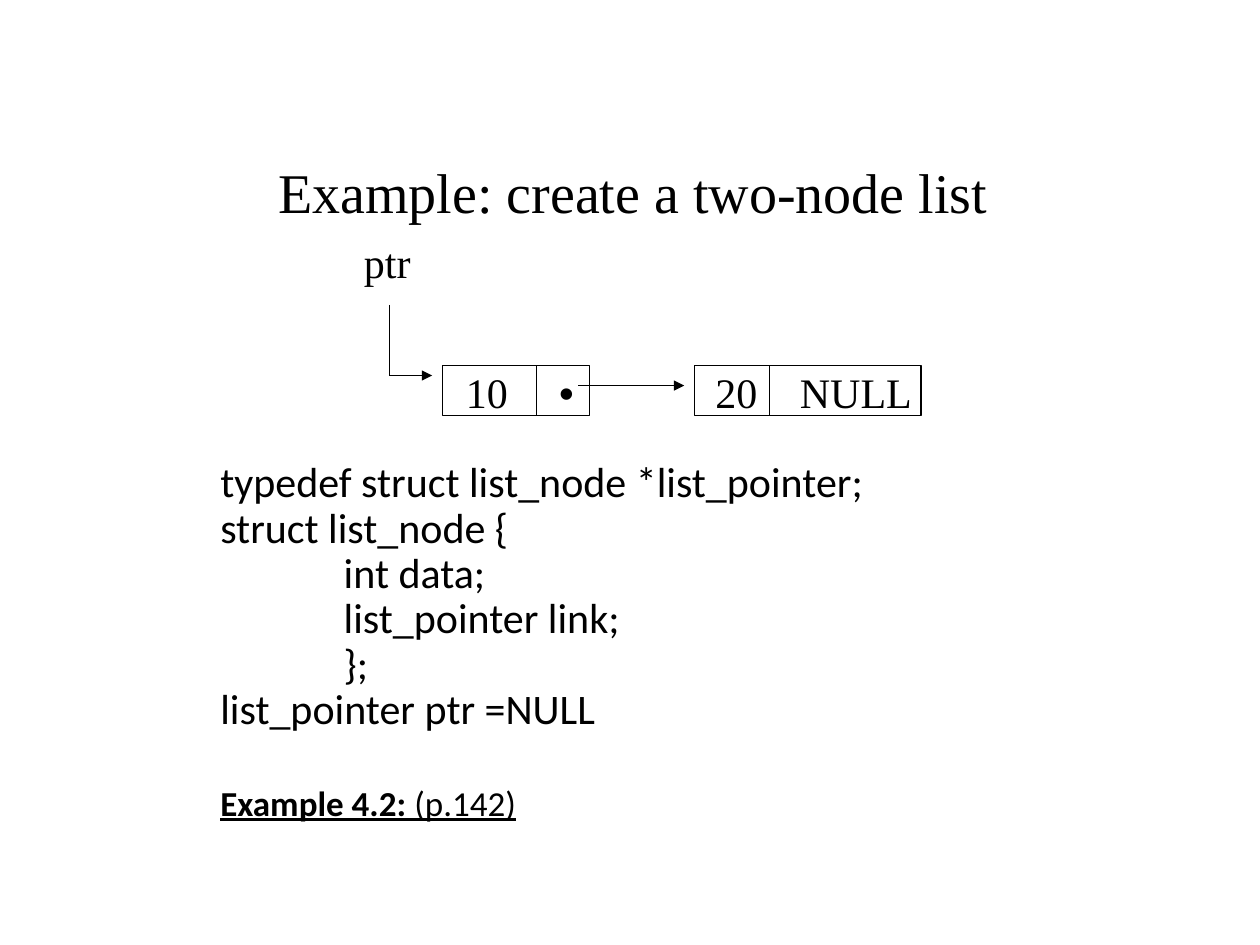
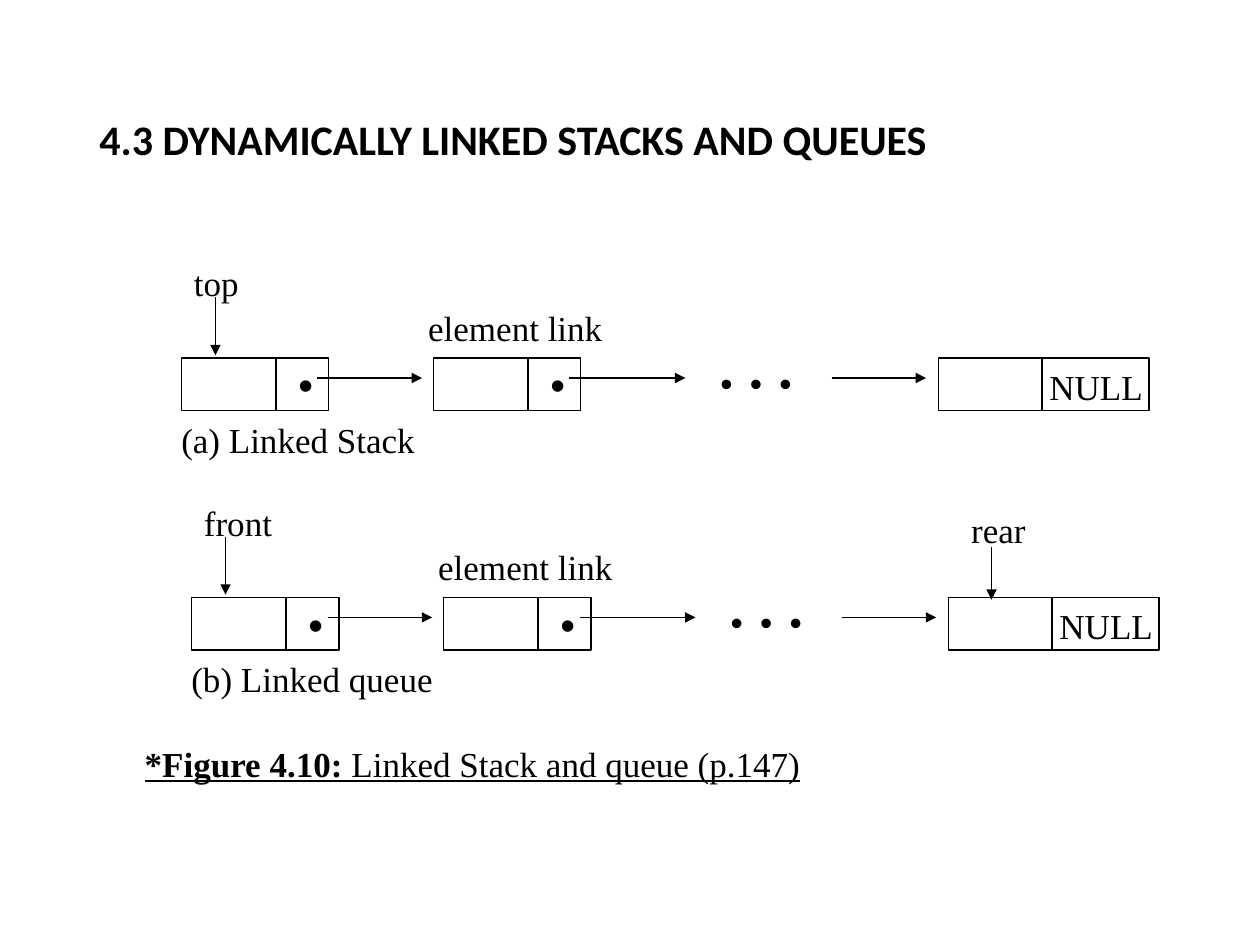
from lxml import etree
from pptx import Presentation, util as u
from pptx.dml.color import RGBColor
from pptx.enum import shapes, text
from pptx.oxml.ns import qn

PX = 9144
INK = {"black": "000000", "white": "FFFFFF"}
BLACK = RGBColor.from_string(INK["black"])
ROMAN, SANS, DOT = "Times New Roman", "Calibri", "Arial"
LEFT, MID = text.PP_ALIGN.LEFT, text.PP_ALIGN.CENTER

deck = Presentation()
deck.slide_width, deck.slide_height = 1000 * PX, 750 * PX


def write(page, box, lines, size, face, align=LEFT, track=0):
    area = page.shapes.add_textbox(*[n * PX for n in box])
    frame = area.text_frame
    frame.word_wrap = True
    frame.vertical_anchor = text.MSO_ANCHOR.TOP
    for i, runs in enumerate(lines):
        para = frame.paragraphs[0] if i == 0 else frame.add_paragraph()
        para.alignment = align
        for words, bold, under in runs:
            run = para.add_run()
            run.text = words
            run.font.name, run.font.size = face, u.Pt(size)
            run.font.bold, run.font.underline = bold, under
            run.font.color.rgb = BLACK
            if track:
                run.font._element.set("spc", str(track))
    return frame


def rule(page, start, end, arrow=False):
    ends = [n * PX for n in (*start, *end)]
    line = page.shapes.add_connector(shapes.MSO_CONNECTOR.STRAIGHT, *ends)
    line.line.color.rgb = BLACK
    line.line.width = u.Pt(0.75)
    if arrow:
        etree.SubElement(line.line._get_or_add_ln(), qn("a:tailEnd"), type="triangle")
    etree.SubElement(line._element.spPr, qn("a:effectLst"))


list_page, queue_page = [deck.slides.add_slide(deck.slide_layouts[6]) for _ in range(2)]
for page in (list_page, queue_page):
    page.background.fill.solid()
    page.background.fill.fore_color.rgb = RGBColor.from_string(INK["white"])

nodes = [(list_page, 351, 290, 117, 40, 75), (list_page, 551, 290, 180, 40, 60)]
rows = [
    (0, 0, "top", "(a) Linked Stack"),
    (8, 190, "front", "(b) Linked queue"),
]
for dx, dy, _, _ in rows:
    for x, wide, split in ((144, 117, 75), (344, 117, 75), (745, 167, 82)):
        nodes.append((queue_page, x + dx, 284 + dy, wide, 42, split))

for page, x, y, wide, high, split in nodes:
    node = page.shapes.add_shape(
        shapes.MSO_SHAPE.RECTANGLE, x * PX, y * PX, wide * PX, high * PX
    )
    node.shadow.inherit = False
    node.fill.background()
    node.line.color.rgb = BLACK
    node.line.width = u.Pt(0.75)
    rule(page, (x + split, y), (x + split, y + high))
    if wide == 117:
        write(page, (x + 83, y - 4, 34, 50), [[("•", False, False)]], 24, DOT)

code = [
    "typedef struct list_node *list_pointer;",
    "struct list_node {",
    "             int data;",
    "             list_pointer link;",
    "             };",
    "list_pointer ptr =NULL",
]
lines = [[(words, False, False)] for words in code]
lines.append([("Example 4.2: ", True, True), ("(p.142)", False, True)])
frame = write(list_page, (165, 347, 835, 326), lines, 24, SANS)
frame.vertical_anchor = text.MSO_ANCHOR.MIDDLE
for para in frame.paragraphs:
    para.line_spacing = 0.9
note = frame.paragraphs[-1]
note.space_before = u.Pt(30)
for run in note.runs:
    run.font.size = u.Pt(20)

head = [[("Example: create a two-node list", False, False)]]
write(list_page, (201, 120, 603, 64), head, 32, ROMAN, MID)
for words, x, y, wide in (
    ("ptr", 279, 183, 70),
    ("10", 360, 286, 60),
    ("20", 558, 286, 60),
    ("NULL", 625, 286, 120),
):
    write(list_page, (x, y, wide, 50), [[(words, False, False)]], 24, ROMAN)
rule(list_page, (309, 242), (309, 298))
rule(list_page, (309, 298), (343, 298), True)
rule(list_page, (459, 306), (543, 306), True)

head = [[("4.3 DYNAMICALLY LINKED STACKS AND QUEUES", True, False)]]
frame = write(queue_page, (69, 40, 863, 145), head, 24, SANS)
frame.vertical_anchor = text.MSO_ANCHOR.MIDDLE
frame.paragraphs[0].line_spacing = 0.9

for dx, dy, start, name in rows:
    for x, end in ((252, 335), (452, 544), (660, 735)):
        rule(queue_page, (x + dx, 300 + dy), (end + dx, 300 + dy), True)
    rule(queue_page, (171 + dx, 236 + dy), (171 + dx, 282 + dy), True)
    for words, x, y, wide in (
        (start, 144, 203, 90),
        ("element link", 330, 238, 170),
        (name, 134, 327, 225),
        ("NULL", 823, 285, 100),
    ):
        write(queue_page, (x + dx, y + dy, wide, 44), [[(words, False, False)]], 20, ROMAN)
    dots = [[("• • •", False, False)]]
    write(queue_page, (562 + dx, 282 + dy, 90, 44), dots, 20, DOT, track=215)

write(queue_page, (761, 399, 75, 44), [[("rear", False, False)]], 20, ROMAN)
rule(queue_page, (787, 434), (787, 476), True)
label = [[("*Figure 4.10: ", True, True), ("Linked Stack and queue (p.147)", False, True)]]
write(queue_page, (105, 584, 560, 44), label, 20, ROMAN)

deck.save("out.pptx")
